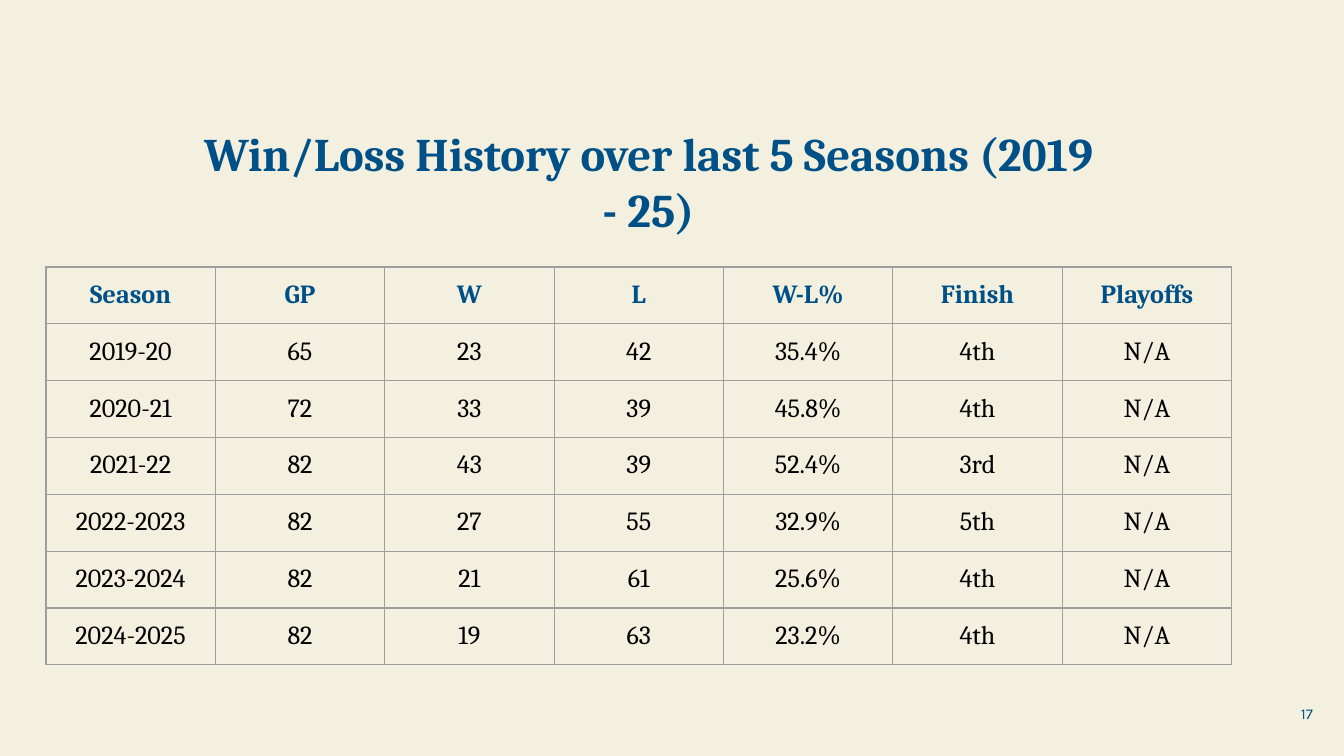
from dataclasses import dataclass
from lxml.etree import SubElement
from pptx import Presentation
from pptx.dml.color import RGBColor as Rgb
from pptx.enum.text import MSO_ANCHOR as Anchor, MSO_AUTO_SIZE as Fit, PP_ALIGN as Align
from pptx.oxml.ns import qn
from pptx.util import Emu, Pt


@dataclass(frozen=True)
class Theme:
    paper: str = "F3F0DF"
    blue: str = "005088"
    ink: str = "000000"
    rule: str = "9E9E9E"
    serif: str = "Cambria"
    sans: str = "Karla"
    title: int = 25
    cell: int = 14
    note: int = 8
    line: float = 0.75
    inset: int = 13


@dataclass(frozen=True)
class Box:
    left: int
    top: int
    width: int
    height: int

    def emu(self) -> tuple[Emu, ...]:
        return tuple(px(n) for n in (self.left, self.top, self.width, self.height))


@dataclass(frozen=True)
class Style:
    face: str
    size: int
    color: str
    bold: bool = False
    align: Align = Align.CENTER


THEME = Theme()
HEAD = Style(THEME.serif, THEME.cell, THEME.blue, True)
BODY = Style(THEME.serif, THEME.cell, THEME.ink)
TITLE = Style(THEME.serif, THEME.title, THEME.blue, True)
NOTE = Style(THEME.sans, THEME.note, THEME.blue, align=Align.RIGHT)

ROWS = (
    ("Season", "GP", "W", "L", "W-L%", "Finish", "Playoffs"),
    ("2019-20", "65", "23", "42", "35.4%", "4th", "N/A"),
    ("2020-21", "72", "33", "39", "45.8%", "4th", "N/A"),
    ("2021-22", "82", "43", "39", "52.4%", "3rd", "N/A"),
    ("2022-2023", "82", "27", "55", "32.9%", "5th", "N/A"),
    ("2023-2024", "82", "21", "61", "25.6%", "4th", "N/A"),
    ("2024-2025", "82", "19", "63", "23.2%", "4th", "N/A"),
)


def px(count: int) -> Emu:
    return Emu(round(count * 9144000 / 1344))


def write(frame, text: str, style: Style) -> None:
    frame.text = text
    para = frame.paragraphs[0]
    para.alignment = style.align
    font = para.font
    font.name, font.size, font.bold = style.face, Pt(style.size), style.bold
    font.color.rgb = Rgb.from_string(style.color)


def pad(item) -> None:
    item.margin_left = item.margin_right = px(THEME.inset)
    item.margin_top = item.margin_bottom = px(THEME.inset)


def label(shape, box: Box, text: str, style: Style, anchor: Anchor) -> None:
    shape.left, shape.top, shape.width, shape.height = box.emu()
    frame = shape.text_frame
    frame.word_wrap, frame.auto_size = True, Fit.NONE
    frame.vertical_anchor = anchor
    pad(frame)
    write(frame, text, style)


def border(cell) -> None:
    props = cell._tc.get_or_add_tcPr()
    for side in ("a:lnL", "a:lnR", "a:lnT", "a:lnB"):
        line = SubElement(props, qn(side), w=str(Pt(THEME.line)))
        fill = SubElement(line, qn("a:solidFill"))
        SubElement(fill, qn("a:srgbClr"), val=THEME.rule)


def grid(slide, box: Box, rows: tuple) -> None:
    table = slide.shapes.add_table(len(rows), len(rows[0]), *box.emu()).table
    table.first_row = table.horz_banding = False
    for i, row in enumerate(rows):
        for j, text in enumerate(row):
            cell = table.cell(i, j)
            pad(cell)
            border(cell)
            cell.fill.background()
            write(cell.text_frame, text, BODY if i else HEAD)


def main() -> None:
    """Build the slide with the win and loss table."""
    deck = Presentation()
    deck.slide_width, deck.slide_height = px(1344), px(756)
    slide = deck.slides.add_slide(deck.slide_layouts[5])
    back = slide.background.fill
    back.solid()
    back.fore_color.rgb = Rgb.from_string(THEME.paper)

    page = Box(1246, 685, 80, 58)
    label(slide.shapes.add_textbox(*page.emu()), page, "17", NOTE, Anchor.MIDDLE)
    label(slide.shapes.title, Box(191, 112, 915, 105),
          "Win/Loss History over last 5 Seasons (2019 - 25)", TITLE, Anchor.TOP)
    grid(slide, Box(46, 267, 1186, 398), ROWS)
    deck.save("out.pptx")


if __name__ == "__main__":
    main()
